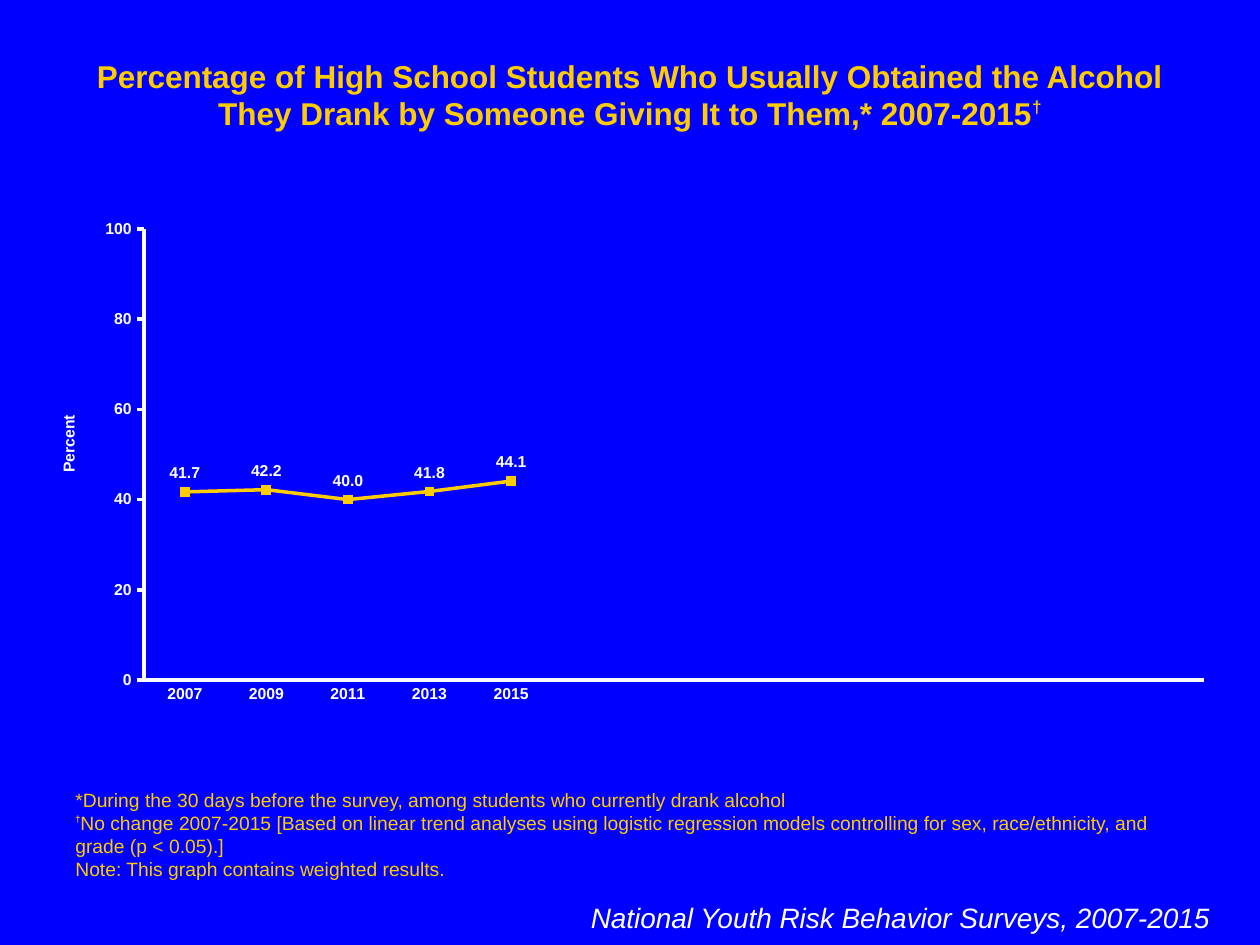
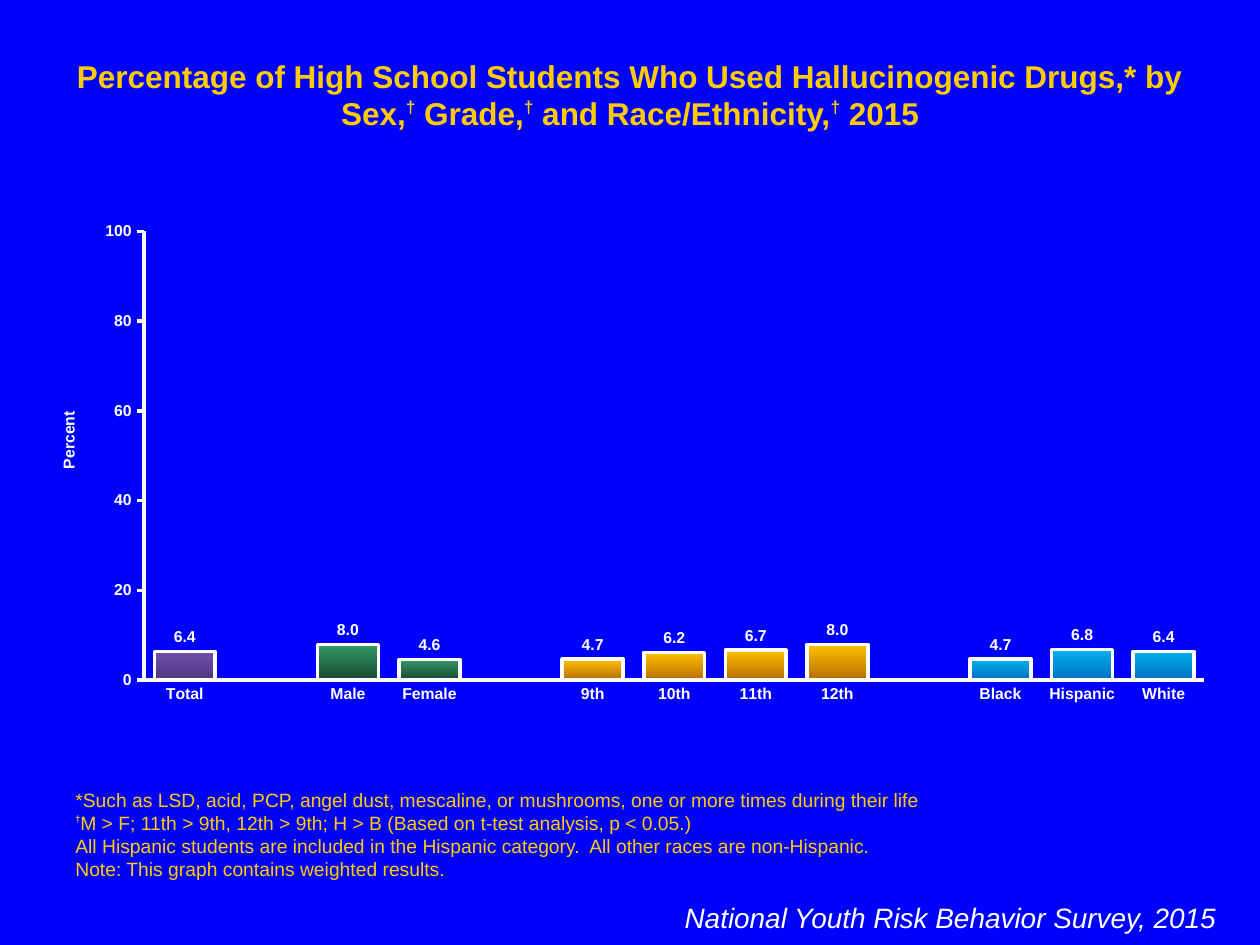
from dataclasses import dataclass

from lxml.etree import fromstring
from pptx import Presentation
from pptx.chart.data import CategoryChartData
from pptx.dml.color import RGBColor
from pptx.enum.chart import (XL_CHART_TYPE, XL_LABEL_POSITION,
                             XL_MARKER_STYLE, XL_TICK_MARK)
from pptx.enum.text import MSO_ANCHOR, MSO_AUTO_SIZE, PP_ALIGN
from pptx.oxml.ns import nsdecls, qn
from pptx.util import Inches, Pt

# Content: category and value pairs; None leaves an empty slot on the axis
GAP = ("", None)
TREND = {
    "title": "Percentage of High School Students Who Usually Obtained the Alcohol "
             "They Drank by Someone Giving It to Them,* 2007-2015†",
    "notes": [
        "*During the 30 days before the survey, among students who currently drank alcohol",
        "†No change 2007-2015 [Based on linear trend analyses using logistic regression "
        "models controlling for sex, race/ethnicity, and grade (p < 0.05).]",
        "Note: This graph contains weighted results.",
    ],
    "source": "National Youth Risk Behavior Surveys, 2007-2015",
    "source_right": 9.7,
    "chart_type": XL_CHART_TYPE.LINE_MARKERS,
    "chart_top": 1.67,
    "axis_title_top": 0.4,
    "points": [("2007", 41.7), ("2009", 42.2), ("2011", 40.0), ("2013", 41.8),
               ("2015", 44.1)] + [GAP] * 8,
}
GROUPS = {
    "title": "Percentage of High School Students Who Used Hallucinogenic Drugs,* by "
             "Sex,† Grade,† and Race/Ethnicity,† 2015",
    "notes": [
        "*Such as LSD, acid, PCP, angel dust, mescaline, or mushrooms, "
        "one or more times during their life",
        "†M > F; 11th > 9th, 12th > 9th; H > B (Based on t-test analysis, p < 0.05.)",
        "All Hispanic students are included in the Hispanic category.  "
        "All other races are non-Hispanic.",
        "Note: This graph contains weighted results.",
    ],
    "source": "National Youth Risk Behavior Survey, 2015",
    "source_right": 9.75,
    "chart_type": XL_CHART_TYPE.COLUMN_CLUSTERED,
    "chart_top": 1.69,
    "axis_title_top": 0.39,
    "points": [("Total", 6.4), GAP, ("Male", 8.0), ("Female", 4.6), GAP,
               ("9th", 4.7), ("10th", 6.2), ("11th", 6.7), ("12th", 8.0), GAP,
               ("Black", 4.7), ("Hispanic", 6.8), ("White", 6.4)],
}


def rgb(code):
    return RGBColor.from_string(code)


@dataclass(frozen=True)
class Theme:
    font: str = "Arial"
    background: RGBColor = rgb("0000FF")
    accent: RGBColor = rgb("FFCC00")
    light: RGBColor = rgb("FFFFFF")
    title_size: int = 18
    title_mark_size: int = 17
    note_size: int = 11
    note_mark_size: int = 9
    source_size: int = 16
    chart_size: int = 18
    label_size: int = 9
    line_width: int = 2
    # One top and bottom colour for each run of neighbouring bars
    bar_gradients: tuple = (("6E4EAE", "4F387C"), ("339966", "18472F"),
                            ("FFC000", "B66D00"), ("00B0F0", "0070C0"))


THEME = Theme()


# Text
def style_font(font, size, color, bold=False, italic=False):
    font.name, font.size = THEME.font, Pt(size)
    font.bold, font.italic = bold, italic
    font.color.rgb = color


def add_box(page, left, top, width, height, anchor=MSO_ANCHOR.TOP):
    box = page.shapes.add_textbox(Inches(left), Inches(top), Inches(width), Inches(height))
    frame = box.text_frame
    frame.word_wrap = True
    frame.auto_size = MSO_AUTO_SIZE.SHAPE_TO_FIT_TEXT
    frame.vertical_anchor = anchor
    return frame


def add_marked_text(para, text, size, mark_size, mark_raise, bold):
    """Write text run by run, raising every dagger."""
    for index, part in enumerate(text.split("†")):
        if index:
            mark = para.add_run()
            mark.text = "†"
            style_font(mark.font, mark_size, THEME.accent, bold=True)
            mark._r.get_or_add_rPr().set("baseline", str(mark_raise * 1000))
        if part:
            span = para.add_run()
            span.text = part
            style_font(span.font, size, THEME.accent, bold=bold)


def add_texts(page, content):
    title = add_box(page, 0.5, 0.4, 9, 0.69).paragraphs[0]
    title.alignment = PP_ALIGN.CENTER
    add_marked_text(title, content["title"], THEME.title_size, THEME.title_mark_size, 40, True)

    notes = add_box(page, 0.5, 6.2, 9, 0.84, MSO_ANCHOR.BOTTOM)
    for index, note in enumerate(content["notes"]):
        para = notes.add_paragraph() if index else notes.paragraphs[0]
        add_marked_text(para, note, THEME.note_size, THEME.note_mark_size, 50, False)

    width = 5.3
    source = add_box(page, content["source_right"] - width, 7.1, width, 0.37).paragraphs[0]
    source.alignment = PP_ALIGN.RIGHT
    span = source.add_run()
    span.text = content["source"]
    style_font(span.font, THEME.source_size, THEME.light, italic=True)


# Charts
def place(parent, index, **fractions):
    """Give a chart part a fixed place, as fractions of the chart."""
    for old in parent.findall(qn("c:layout")):
        parent.remove(old)
    target = '<c:layoutTarget val="inner"/>' if "w" in fractions else ""
    modes = "".join(f'<c:{key}Mode val="edge"/>' for key in "xy")
    sizes = "".join(f'<c:{key} val="{value}"/>' for key, value in fractions.items())
    parent.insert(index, fromstring(
        f'<c:layout {nsdecls("c")}><c:manualLayout>{target}{modes}{sizes}'
        '</c:manualLayout></c:layout>'))


def style_axis(axis, tick_mark):
    axis.has_major_gridlines = False
    axis.major_tick_mark, axis.minor_tick_mark = tick_mark, XL_TICK_MARK.NONE
    axis.format.line.color.rgb = THEME.light
    axis.format.line.width = Pt(THEME.line_width)
    style_font(axis.tick_labels.font, THEME.label_size, THEME.light, bold=True)


def style_percent_axis(axis, title_top):
    style_axis(axis, XL_TICK_MARK.OUTSIDE)
    axis.minimum_scale, axis.maximum_scale, axis.major_unit = 0, 100, 20
    axis.tick_labels.number_format = "#,##0"
    axis.tick_labels.number_format_is_linked = False
    title = axis.axis_title
    frame = title.text_frame
    frame._txBody.bodyPr.set("rot", "-5400000")
    frame._txBody.bodyPr.set("vert", "horz")
    span = frame.paragraphs[0].add_run()
    span.text = "Percent"
    style_font(span.font, THEME.label_size, THEME.light, bold=True)
    place(title._element, 1, x=0.02, y=title_top)


def style_line(series):
    series.smooth = False
    series.format.line.color.rgb = THEME.accent
    series.format.line.width = Pt(THEME.line_width)
    marker = series.marker
    marker.style, marker.size = XL_MARKER_STYLE.SQUARE, 5
    marker.format.fill.solid()
    marker.format.fill.fore_color.rgb = THEME.accent
    marker.format.line.color.rgb = THEME.accent


def style_bars(plot, series, points):
    plot.gap_width, plot.overlap = 34, 100
    group = 0
    for index, (_, value) in enumerate(points):
        if value is None:
            group += 1
            continue
        look = series.points[index].format
        look.fill.gradient()
        look.fill.gradient_angle = 270
        for stop, color in zip(look.fill.gradient_stops, THEME.bar_gradients[group]):
            stop.color.rgb = rgb(color)
        look.line.color.rgb = THEME.light
        look.line.width = Pt(THEME.line_width)


def add_percent_chart(page, content):
    points, top = content["points"], content["chart_top"]
    data = CategoryChartData(number_format="#,##0.0")
    data.categories = [name for name, _ in points]
    data.add_series("Series 1", [value for _, value in points])
    chart = page.shapes.add_chart(content["chart_type"], Inches(0.25), Inches(top),
                                  Inches(9.5), Inches(5.67 - top), data).chart
    chart.has_title = chart.has_legend = False
    style_font(chart.font, THEME.chart_size, THEME.light)
    style_axis(chart.category_axis, XL_TICK_MARK.NONE)
    style_percent_axis(chart.value_axis, content["axis_title_top"])
    place(chart._chartSpace.chart.plotArea, 0, x=0.094, y=0.037, w=0.886, h=0.895)

    plot = chart.plots[0]
    plot.vary_by_categories = False
    series = plot.series[0]
    is_line = content["chart_type"] == XL_CHART_TYPE.LINE_MARKERS
    if is_line:
        style_line(series)
    else:
        style_bars(plot, series, points)

    labels = series.data_labels
    labels.show_value = True
    labels.number_format, labels.number_format_is_linked = "#,##0.0", False
    labels.position = XL_LABEL_POSITION.ABOVE if is_line else XL_LABEL_POSITION.OUTSIDE_END
    style_font(labels.font, THEME.label_size, THEME.light, bold=True)


def main():
    deck = Presentation()
    deck.slide_width, deck.slide_height = Inches(10), Inches(7.5)
    for content in (TREND, GROUPS):
        page = deck.slides.add_slide(deck.slide_layouts[6])
        page.background.fill.solid()
        page.background.fill.fore_color.rgb = THEME.background
        add_texts(page, content)
        add_percent_chart(page, content)
    deck.save("out.pptx")


if __name__ == "__main__":
    main()
